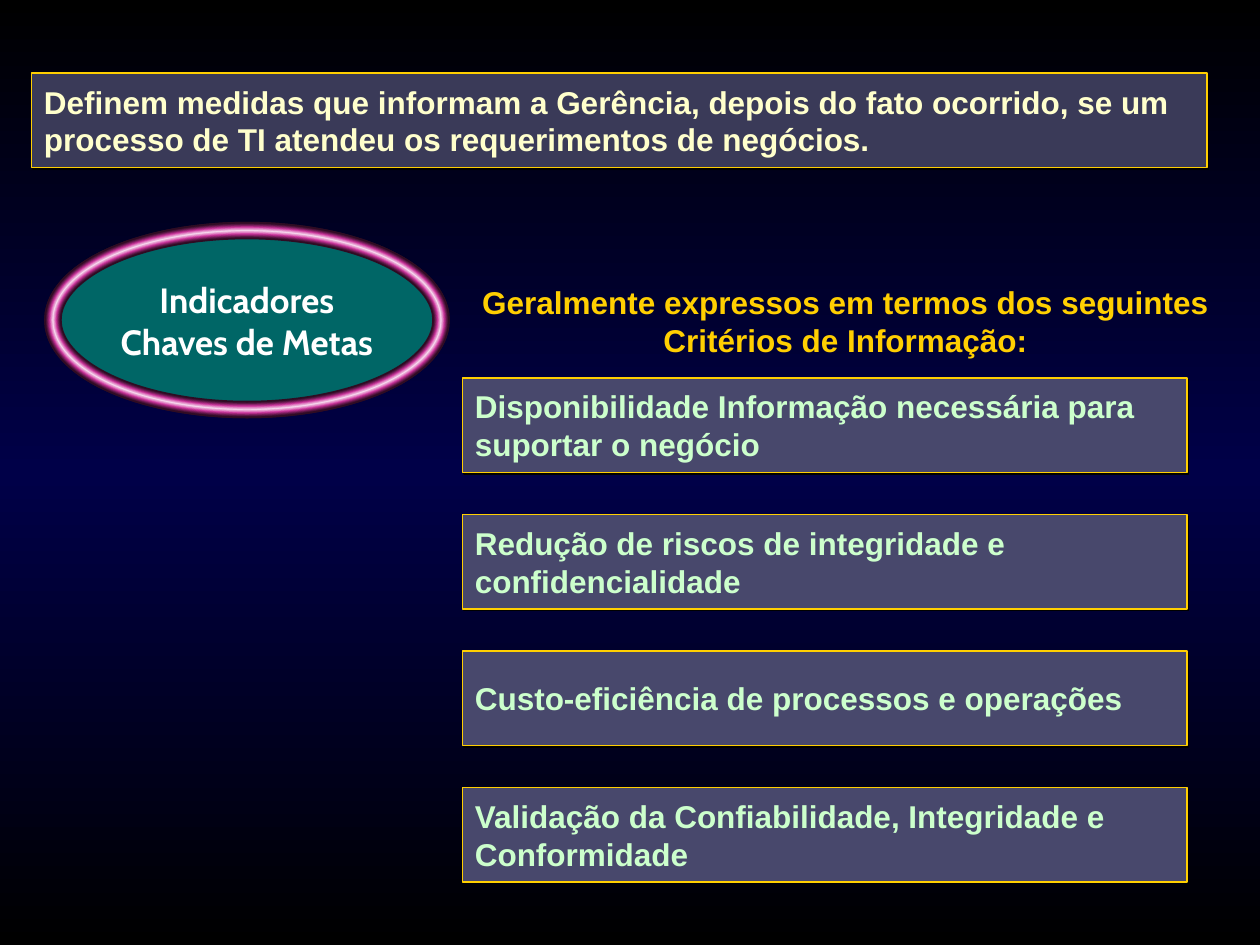
from copy import deepcopy
from dataclasses import dataclass

from lxml import etree
from pptx import Presentation
from pptx import util as u
from pptx.dml.color import RGBColor
from pptx.enum import shapes, text
from pptx.oxml import ns

BLACK = RGBColor(0x00, 0x00, 0x00)
NAVY = RGBColor(0x00, 0x00, 0x48)
WHITE = RGBColor(0xFF, 0xFF, 0xFF)
GOLD = RGBColor(0xFF, 0xCF, 0x01)
CREAM = RGBColor(0xFF, 0xFF, 0xCC)
MINT = RGBColor(0xCC, 0xFF, 0xCC)
TEAL = RGBColor(0x00, 0x66, 0x66)
SLATE = RGBColor(0x48, 0x48, 0x6C)
DARK_SLATE = RGBColor(0x3A, 0x3A, 0x58)


@dataclass(frozen=True)
class Box:
    left: float
    top: float
    width: float
    height: float

    def lengths(self) -> list[u.Length]:
        return [u.Inches(side) for side in (self.left, self.top, self.width, self.height)]


@dataclass(frozen=True)
class Panel:
    box: Box
    wording: str
    fill: RGBColor
    color: RGBColor


@dataclass(frozen=True)
class Ring:
    color: RGBColor
    width: float


DEFINITION = Panel(
    Box(0.25, 0.58, 9.33, 0.75),
    "Definem medidas que informam a Gerência, depois do fato ocorrido, "
    "se um processo de TI atendeu os requerimentos de negócios.",
    DARK_SLATE,
    CREAM,
)
CRITERIA = [
    "Disponibilidade Informação necessária para suportar o negócio",
    "Redução de riscos de integridade e confidencialidade",
    "Custo-eficiência de processos e operações",
    "Validação da Confiabilidade, Integridade e Conformidade",
]
CRITERIA_TOP = 3.0
CRITERIA_STEP = 3.25 / 3
HEADING = "Geralmente expressos em termos dos seguintes Critérios de Informação:"
HEADING_BOX = Box(3.67, 2.17, 6.08, 0.75)
BADGE_BOX = Box(0.42, 1.83, 3.08, 1.42)
BADGE_LINES = ["Indicadores", "Chaves de Metas"]
RINGS = [
    Ring(RGBColor(0x2E, 0x0C, 0x23), 10),
    Ring(RGBColor(0x48, 0x12, 0x37), 8),
    Ring(RGBColor(0x65, 0x19, 0x4D), 7),
    Ring(RGBColor(0x8A, 0x22, 0x6A), 6),
    Ring(RGBColor(0xB0, 0x2C, 0x87), 5),
    Ring(RGBColor(0xCF, 0x3F, 0xA2), 4),
    Ring(RGBColor(0xDC, 0x72, 0xBB), 3),
    Ring(RGBColor(0xE6, 0x9A, 0xCE), 2),
    Ring(RGBColor(0xEF, 0xBD, 0xE0), 1),
    Ring(RGBColor(0xF8, 0xE2, 0xF1), 0.25),
]


def paint_background(slide) -> None:
    fill = slide.background.fill
    fill.gradient()
    fill.gradient_angle = 90
    stop_list = next(slide.element.iter(ns.qn("a:gsLst")))
    stop_list.append(deepcopy(stop_list[-1]))
    for stop, color, position in zip(fill.gradient_stops, (BLACK, NAVY, BLACK), (0, 0.5, 1)):
        stop.color.rgb = color
        stop.position = position


def add_drop_shadow(shape) -> None:
    shape.shadow.inherit = False
    effects = shape.element.spPr.find(ns.qn("a:effectLst"))
    shadow = etree.SubElement(
        effects, ns.qn("a:outerShdw"), dist=str(u.Pt(1.4)), dir="2700000", algn="ctr", rotWithShape="0"
    )
    etree.SubElement(shadow, ns.qn("a:srgbClr"), val=str(BLACK))


def write_lines(
    shape, lines: list[str], size: float, font: str, color: RGBColor,
    alignment: text.PP_ALIGN, wrap: bool = True,
) -> None:
    frame = shape.text_frame
    frame.word_wrap = wrap
    frame.vertical_anchor = text.MSO_ANCHOR.MIDDLE
    for index, line in enumerate(lines):
        paragraph = frame.add_paragraph() if index else frame.paragraphs[0]
        paragraph.alignment = alignment
        run = paragraph.add_run()
        run.text = line
        run.font.size = u.Pt(size)
        run.font.name = font
        run.font.bold = True
        run.font.color.rgb = color


def add_panel(slide, panel: Panel) -> None:
    shape = slide.shapes.add_shape(shapes.MSO_SHAPE.RECTANGLE, *panel.box.lengths())
    shape.fill.solid()
    shape.fill.fore_color.rgb = panel.fill
    shape.line.color.rgb = GOLD
    shape.line.width = u.Pt(0.75)
    add_drop_shadow(shape)
    write_lines(shape, [panel.wording], 18, "Arial", panel.color, text.PP_ALIGN.LEFT)


def add_ring(group, ring: Ring, filled: bool):
    shape = group.shapes.add_shape(shapes.MSO_SHAPE.OVAL, *BADGE_BOX.lengths())
    shape.shadow.inherit = False
    if filled:
        shape.fill.solid()
        shape.fill.fore_color.rgb = TEAL
    else:
        shape.fill.background()
    shape.line.color.rgb = ring.color
    shape.line.width = u.Pt(ring.width)
    return shape


def add_badge(slide) -> None:
    group = slide.shapes.add_group_shape()
    discs = [add_ring(group, ring, True) for ring in RINGS]
    write_lines(discs[-1], BADGE_LINES, 20, "Cabin", WHITE, text.PP_ALIGN.CENTER, wrap=False)
    for ring in RINGS:
        add_ring(group, ring, False)


def main() -> None:
    presentation = Presentation()
    presentation.slide_width = u.Inches(10)
    presentation.slide_height = u.Inches(7.5)
    slide = presentation.slides.add_slide(presentation.slide_layouts[6])
    paint_background(slide)
    add_panel(slide, DEFINITION)
    for index, criterion in enumerate(CRITERIA):
        box = Box(3.67, CRITERIA_TOP + index * CRITERIA_STEP, 5.75, 0.75)
        add_panel(slide, Panel(box, criterion, SLATE, MINT))
    heading = slide.shapes.add_textbox(*HEADING_BOX.lengths())
    write_lines(heading, [HEADING], 18, "Arial", GOLD, text.PP_ALIGN.CENTER)
    add_badge(slide)
    presentation.save("out.pptx")


if __name__ == "__main__":
    main()
